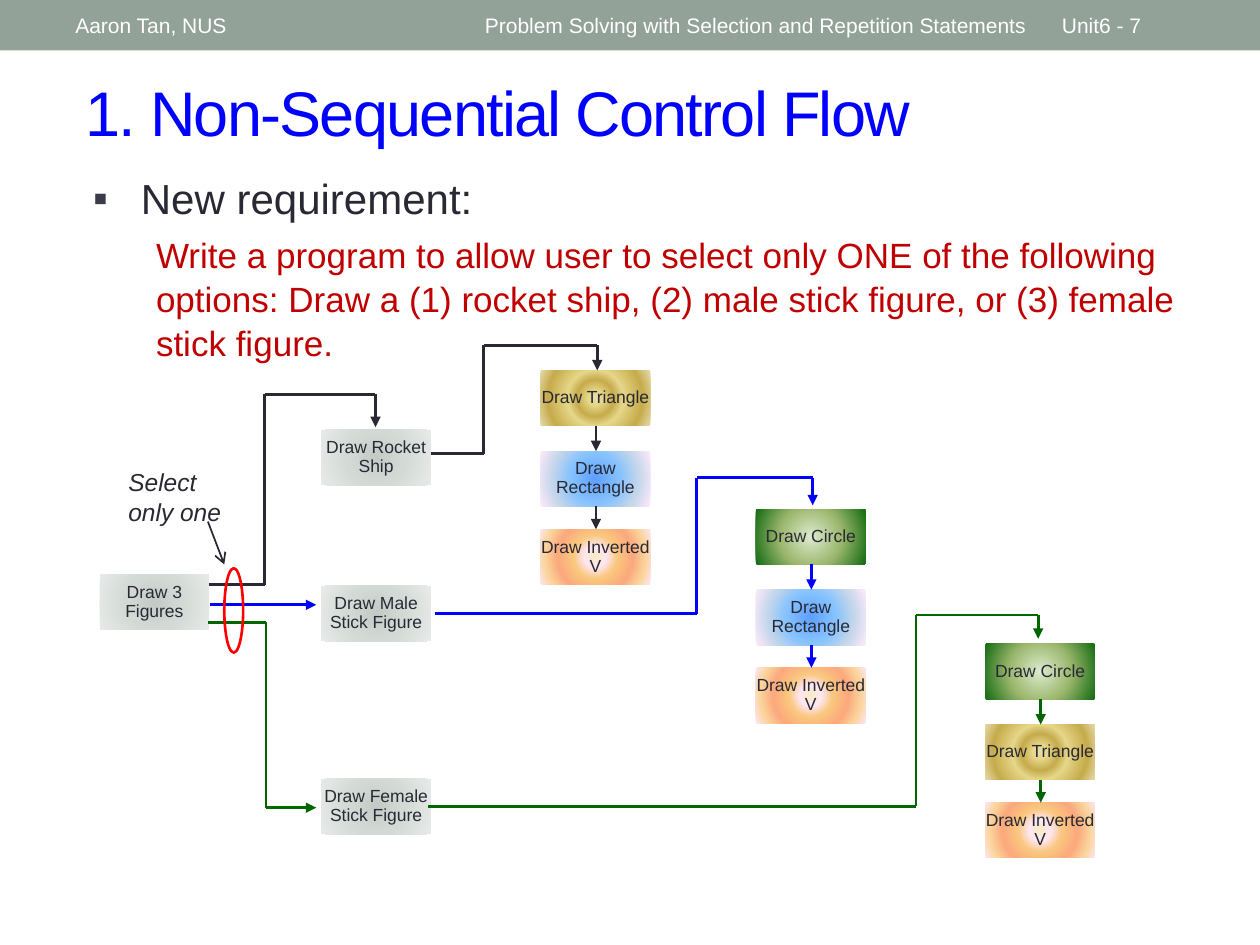
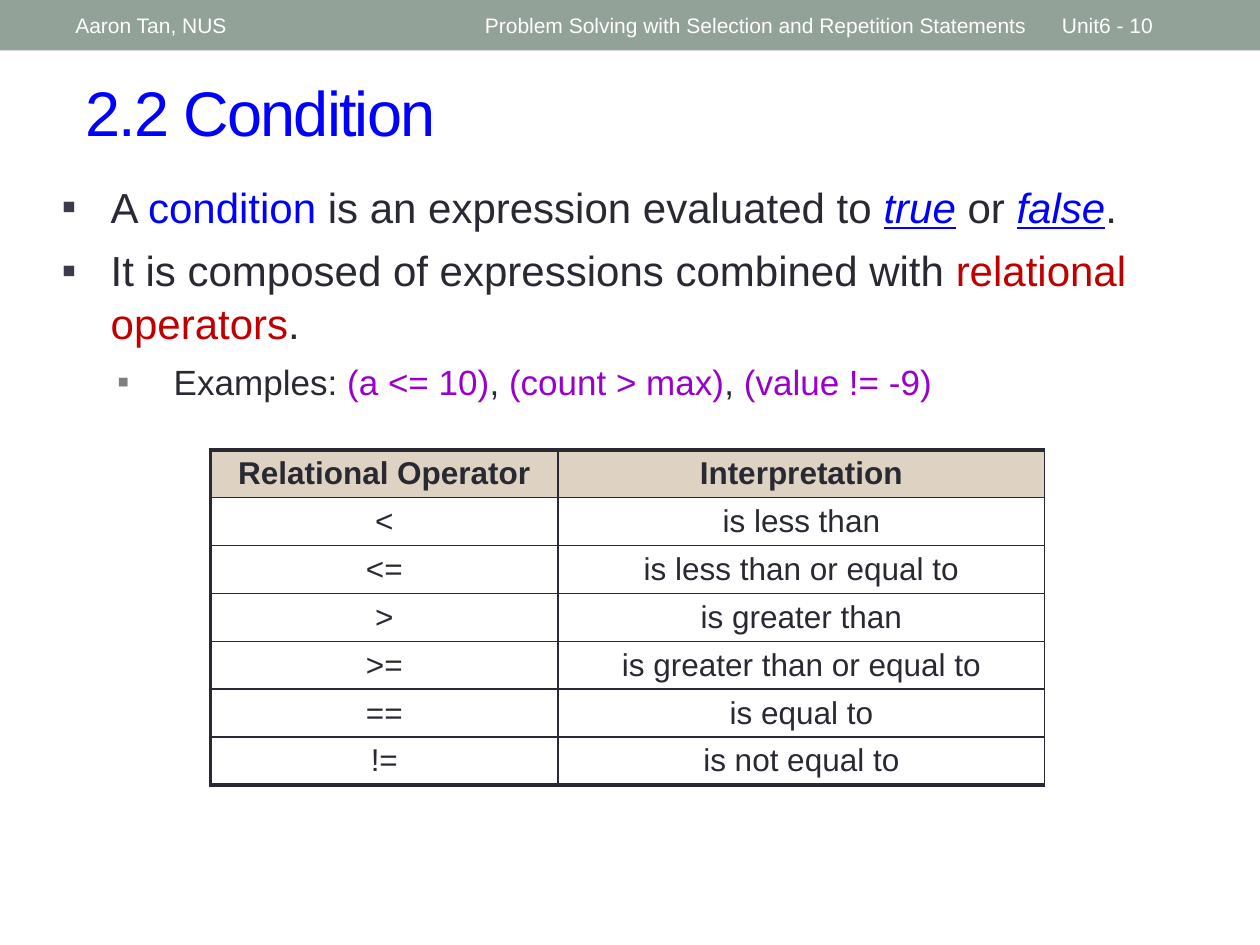
from dataclasses import dataclass
from itertools import pairwise

from lxml.etree import SubElement
from pptx import Presentation
from pptx.dml.color import RGBColor
from pptx.enum.shapes import MSO_CONNECTOR, MSO_SHAPE
from pptx.enum.text import MSO_ANCHOR, PP_ALIGN
from pptx.oxml.ns import qn
from pptx.util import Emu, Pt

EMU_PER_PX = 9144  # 100 px to the inch


@dataclass(frozen=True)
class Theme:
    font: str = "Arial"
    ink: str = "292934"
    white: str = "FFFFFF"
    band: str = "93A299"
    blue: str = "0000FF"
    green: str = "006600"
    crimson: str = "C00000"
    red: str = "FF0000"
    purple: str = "9900CC"
    table_header: str = "DED2C2"
    bullets: tuple = ("3B3B4B", "808080")
    title_size: int = 36
    body_size: int = 24
    detail_size: int = 20
    table_size: int = 18
    note_size: int = 14
    band_size: int = 12
    box_size: int = 10


THEME = Theme()

GRADIENTS = {
    "figure": [(0, "C4CAC6"), (45, "D3DAD6"), (100, "E7EAE8")],
    "Draw Triangle": [(0, "E6DCAC"), (12, "E6D78A"), (30, "C7AC4C"),
                      (45, "E6D78A"), (77, "C7AC4C"), (100, "E6DCAC")],
    "Draw Rectangle": [(0, "5E9EFF"), (40, "85C2FF"), (70, "C4D6EB"), (100, "FFEBFA")],
    "Draw Inverted V": [(0, "FBEAC7"), (18, "FEE7F2"), (36, "FAC77D"),
                        (61, "FBA97D"), (82, "FBD49C"), (100, "FEE7F2")],
    "Draw Circle": [(0, "DDEBCF"), (50, "9CB86E"), (100, "156B13")],
}
BOX_WIDTH, BOX_HEIGHT = 87, 44
STEP_OFFSETS = (0, 64, 126)


def px(value):
    return Emu(value * EMU_PER_PX)


def rgb(color):
    return RGBColor.from_string(color)


def add_color(parent, color):
    SubElement(parent, qn("a:srgbClr"), val=color)


def write(paragraph, text, size, color=THEME.ink, align=None, line=None, before=0,
          indent=None, bullet=None, **run_format):
    """Fill a paragraph with a string or with (text, format) runs; indent is (left, first)."""
    properties = paragraph._p.get_or_add_pPr()
    if indent:
        properties.set("marL", str(px(indent[0])))
        properties.set("indent", str(px(indent[1])))
    if bullet:
        add_color(SubElement(properties, qn("a:buClr")), bullet)
        SubElement(properties, qn("a:buFont"), typeface=THEME.font)
        SubElement(properties, qn("a:buChar"), char="▪")
    paragraph.alignment = align
    paragraph.line_spacing = line
    paragraph.space_before = Pt(before)
    for content, changes in [(text, {})] if isinstance(text, str) else text:
        style = {"color": color, **run_format, **changes}
        run = paragraph.add_run()
        run.text = content
        font = run.font
        font.name, font.size = THEME.font, Pt(size)
        font.color.rgb = rgb(style["color"])
        font.bold = style.get("bold")
        font.italic = style.get("italic")
        font.underline = style.get("underline")
        if "tracking" in style:
            run._r.get_or_add_rPr().set("spc", str(style["tracking"]))


class Deck:
    def __init__(self, theme):
        self.theme = theme
        self.presentation = Presentation()
        self.presentation.slide_width, self.presentation.slide_height = px(1000), px(750)
        self.slide = None

    def new_slide(self, title, number):
        theme = self.theme
        self.slide = self.presentation.slides.add_slide(self.presentation.slide_layouts[6])
        band = self.shape(MSO_SHAPE.RECTANGLE, 0, 0, 1000, 40)
        band.fill.solid()
        band.fill.fore_color.rgb = rgb(theme.band)
        for left, width, label in (
            (50, 317, "Aaron Tan, NUS"),
            (375, 455, "Problem Solving with Selection and Repetition Statements"),
            (833, 117, f"Unit6 - {number}"),
        ):
            self.text(left, 2, width, 36, label, anchor=MSO_ANCHOR.MIDDLE,
                      size=theme.band_size, color=theme.white)
        self.text(58, 42, 917, 92, title, anchor=MSO_ANCHOR.MIDDLE,
                  size=theme.title_size, color=theme.blue, tracking=-100)

    def shape(self, kind, left, top, width, height):
        shape = self.slide.shapes.add_shape(kind, px(left), px(top), px(width), px(height))
        shape.shadow.inherit = False
        shape.fill.background()
        shape.line.fill.background()
        return shape

    def text_frame(self, left, top, width, height, anchor=MSO_ANCHOR.TOP):
        box = self.slide.shapes.add_textbox(px(left), px(top), px(width), px(height))
        box.text_frame.word_wrap = True
        box.text_frame.vertical_anchor = anchor
        return box.text_frame

    def text(self, left, top, width, height, content, anchor=MSO_ANCHOR.TOP, **style):
        frame = self.text_frame(left, top, width, height, anchor)
        write(frame.paragraphs[0], content, **style)

    def body(self, left, top, width, height, items):
        """Add one text box from (text, format) paragraphs."""
        frame = self.text_frame(left, top, width, height)
        for index, (content, style) in enumerate(items):
            paragraph = frame.add_paragraph() if index else frame.paragraphs[0]
            write(paragraph, content, line=1.05, **style)

    def box(self, left, top, label, gradient):
        shape = self.shape(MSO_SHAPE.RECTANGLE, left, top, BOX_WIDTH, BOX_HEIGHT)
        properties = shape._element.spPr
        fill = SubElement(properties, qn("a:gradFill"), rotWithShape="1")
        properties.replace(properties.find(qn("a:noFill")), fill)
        stops = SubElement(fill, qn("a:gsLst"))
        for position, color in GRADIENTS[gradient]:
            add_color(SubElement(stops, qn("a:gs"), pos=str(position * 1000)), color)
        radial = SubElement(fill, qn("a:path"), {"path": "circle"})
        SubElement(radial, qn("a:fillToRect"), {side: "50000" for side in "ltrb"})
        frame = shape.text_frame
        frame.word_wrap = True
        frame.vertical_anchor = MSO_ANCHOR.MIDDLE
        frame.margin_left = frame.margin_right = frame.margin_top = frame.margin_bottom = 0
        write(frame.paragraphs[0], label, self.theme.box_size, align=PP_ALIGN.CENTER, line=0.9)

    def route(self, color, *points, width=1.5, head="triangle"):
        """Join the points with straight lines, with an arrowhead on the last one."""
        for start, end in pairwise(points):
            connector = self.slide.shapes.add_connector(
                MSO_CONNECTOR.STRAIGHT, *map(px, start + end))
            connector.line.color.rgb = rgb(color)
            connector.line.width = Pt(width)
            SubElement(connector._element.spPr, qn("a:effectLst"))
        SubElement(connector.line._get_or_add_ln(), qn("a:tailEnd"), type=head)

    def steps(self, left, top, arrow_color, labels):
        """Stack boxes in a column with an arrow between neighbours."""
        tops = [top + offset for offset in STEP_OFFSETS]
        for label, step_top in zip(labels, tops):
            self.box(left, step_top, label, label)
        center = left + BOX_WIDTH // 2 + 1
        for upper, lower in pairwise(tops):
            self.route(arrow_color, (center, upper + BOX_HEIGHT), (center, lower))

    def table(self, left, top, column_widths, row_height, rows):
        theme = self.theme
        last_row = len(rows) - 1
        table = self.slide.shapes.add_table(
            len(rows), len(column_widths), px(left), px(top),
            px(sum(column_widths)), px(row_height * len(rows))).table
        for column, width in zip(table.columns, column_widths):
            column.width = px(width)
        for row_index, row in enumerate(rows):
            table.rows[row_index].height = px(row_height)
            for column_index, label in enumerate(row):
                cell = table.cell(row_index, column_index)
                cell.margin_top = cell.margin_bottom = px(4)
                cell.vertical_anchor = MSO_ANCHOR.MIDDLE
                write(cell.text_frame.paragraphs[0], label, theme.table_size,
                      align=PP_ALIGN.CENTER, bold=row_index == 0)
                self.borders(cell, L=2.25 if column_index == 0 else 1, R=1,
                             T=2.25 if row_index == 0 else 1,
                             B=2.25 if row_index == last_row else 1)
                if row_index == 0:
                    cell.fill.solid()
                    cell.fill.fore_color.rgb = rgb(theme.table_header)
                else:
                    cell.fill.background()

    def borders(self, cell, **widths):
        properties = cell._tc.get_or_add_tcPr()
        for side, width in widths.items():
            line = SubElement(properties, qn(f"a:ln{side}"), w=str(Pt(width)))
            add_color(SubElement(line, qn("a:solidFill")), self.theme.ink)


def control_flow_slide(deck):
    theme = deck.theme
    deck.new_slide("1. Non-Sequential Control Flow", 7)
    deck.body(64, 130, 907, 155, [
        ("New requirement:",
         dict(size=theme.body_size, indent=(38, -38), bullet=theme.bullets[0])),
        ("Write a program to allow user to select only ONE of the following options: "
         "Draw a (1) rocket ship, (2) male stick figure, or (3) female stick figure.",
         dict(size=theme.detail_size, color=theme.crimson, indent=(50, 0), before=5)),
    ])
    for left, top, label in (
        (79, 456, "Draw 3 Figures"),
        (255, 341, "Draw Rocket Ship"),
        (255, 465, "Draw Male Stick Figure"),
        (255, 618, "Draw Female Stick Figure"),
    ):
        deck.box(left, top, label, "figure")
    deck.steps(429, 294, theme.ink, ("Draw Triangle", "Draw Rectangle", "Draw Inverted V"))
    deck.steps(600, 404, theme.blue, ("Draw Circle", "Draw Rectangle", "Draw Inverted V"))
    deck.steps(782, 511, theme.green, ("Draw Circle", "Draw Triangle", "Draw Inverted V"))

    # From the start to each figure
    deck.route(theme.ink, (166, 464), (210, 464), (210, 313), (298, 313), (298, 339))
    deck.route(theme.blue, (167, 480), (251, 480))
    deck.route(theme.green, (165, 494), (211, 494), (211, 641), (251, 641))
    # From each figure to its steps
    deck.route(theme.ink, (342, 360), (384, 360), (384, 274), (474, 274), (474, 294))
    deck.route(theme.blue, (345, 487), (553, 487), (553, 379), (645, 379), (645, 401))
    deck.route(theme.green, (340, 640), (727, 640), (727, 488), (824, 488), (824, 507))

    choice = deck.shape(MSO_SHAPE.OVAL, 178, 451, 15, 67)
    choice.line.color.rgb = rgb(theme.red)
    choice.line.width = Pt(1.5)
    deck.text(92, 366, 108, 57, "Select only one", size=theme.note_size, italic=True)
    deck.route(theme.ink, (165, 414), (178, 448), width=1, head="arrow")


def condition_slide(deck):
    theme = deck.theme
    plain = {}
    keyword = dict(color=theme.blue)
    truth = dict(color=theme.blue, italic=True, underline=True)
    term = dict(color=theme.crimson)
    code = dict(color=theme.purple)
    main_point = dict(size=theme.body_size, indent=(39, -39), bullet=theme.bullets[0])

    deck.new_slide("2.2 Condition", 10)
    deck.body(39, 137, 918, 200, [
        ([("A ", plain), ("condition", keyword), (" is an expression evaluated to ", plain),
          ("true", truth), (" or ", plain), ("false", truth), (".", plain)], main_point),
        ([("It is composed of expressions combined with ", plain),
          ("relational operators", term), (".", plain)], dict(main_point, before=6)),
        ([("Examples: ", plain), ("(a <= 10)", code), (", ", plain),
          ("(count > max)", code), (", ", plain), ("(value != -9)", code)],
         dict(size=theme.detail_size, indent=(89, -45), bullet=theme.bullets[1], before=6)),
    ])
    deck.table(167, 357, (276, 386), 38, [
        ("Relational Operator", "Interpretation"),
        ("<", "is less than"),
        ("<=", "is less than or equal to"),
        (">", "is greater than"),
        (">=", "is greater than or equal to"),
        ("==", "is equal to"),
        ("!=", "is not equal to"),
    ])


def main():
    deck = Deck(THEME)
    control_flow_slide(deck)
    condition_slide(deck)
    deck.presentation.save("out.pptx")


if __name__ == "__main__":
    main()
